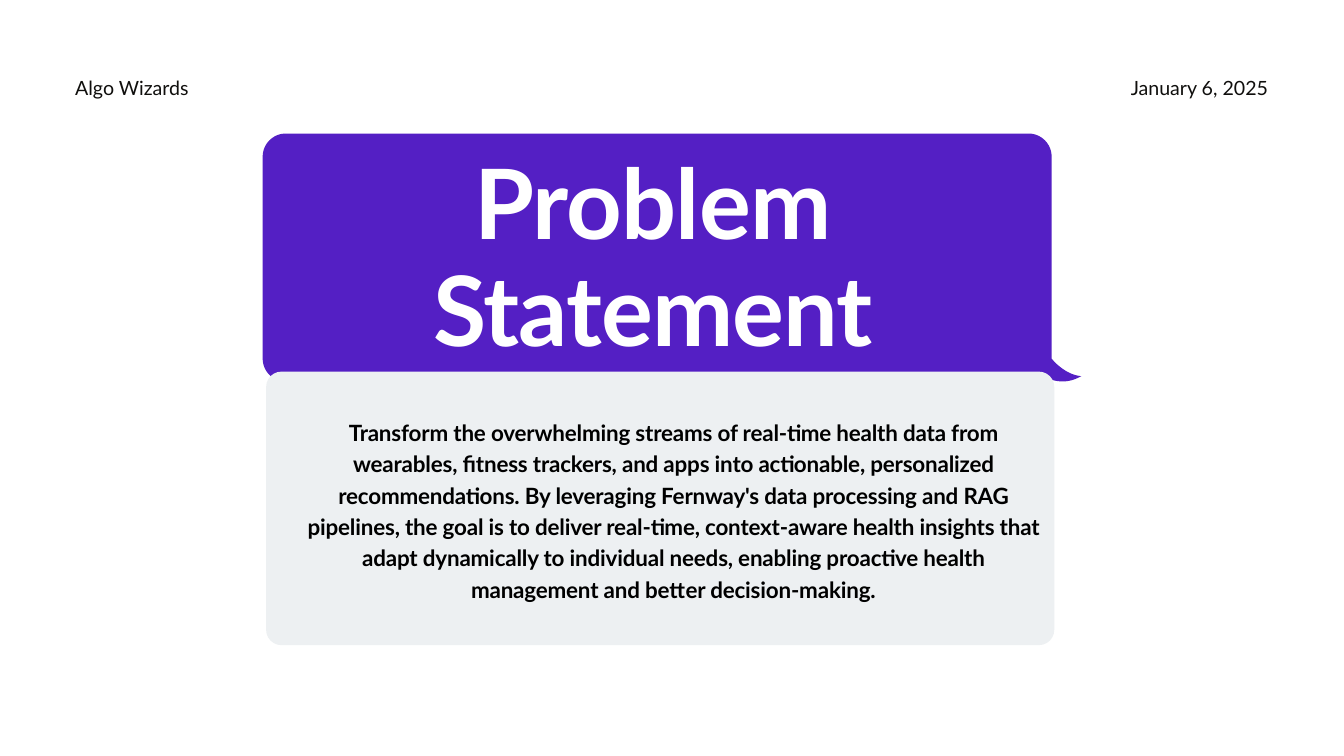
from pptx import Presentation
from pptx.dml.color import RGBColor
from pptx.enum.shapes import MSO_SHAPE as Shape
from pptx.enum.text import MSO_AUTO_SIZE as AutoSize, PP_ALIGN as Align
from pptx.util import Cm, Pt

FONT = "Lato"
COLORS = {
    "background": "FFFFFF",
    "bubble": "541FC4",
    "panel": "EDF0F2",
    "header": "100F0D",
    "title": "FFFFFF",
    "body": "000000",
}
STATEMENT = (
    "Transform the overwhelming streams of real-time health data from wearables, "
    "fitness trackers, and apps into actionable, personalized recommendations. "
    "By leveraging Fernway's data processing and RAG pipelines, the goal is to "
    "deliver real-time, context-aware health insights that adapt dynamically to "
    "individual needs, enabling proactive health management and better "
    "decision-making."
)


def color(name):
    return RGBColor.from_string(COLORS[name])


def paint(shape, fill):
    shape.shadow.inherit = False
    shape.fill.solid()
    shape.fill.fore_color.rgb = color(fill)
    shape.line.fill.background()


def add_text(slide, box, lines, size, leading, fill, align, bold=False, tracking=0):
    """Add one paragraph per line; leading and tracking are in points."""
    text_box = slide.shapes.add_textbox(*(Cm(length) for length in box))
    frame = text_box.text_frame
    frame.margin_left = frame.margin_right = 0
    frame.margin_top = frame.margin_bottom = 0
    frame.word_wrap = True
    frame.auto_size = AutoSize.SHAPE_TO_FIT_TEXT
    frame.text = "\n".join(lines)
    for paragraph in frame.paragraphs:
        paragraph.alignment = align
        paragraph.line_spacing = Pt(leading)
        for run in paragraph.runs:
            run.font.name = FONT
            run.font.size = Pt(size)
            run.font.bold = bold
            run.font.color.rgb = color(fill)
            if tracking:
                run.font._element.set("spc", str(round(tracking * 100)))


def curve(start, control_1, control_2, end, steps=16):
    """Return points along a cubic Bezier curve."""
    points = []
    for step in range(steps + 1):
        t = step / steps
        weights = ((1 - t) ** 3, 3 * t * (1 - t) ** 2, 3 * t * t * (1 - t), t ** 3)
        corners = (start, control_1, control_2, end)
        points.append(tuple(
            sum(weight * corner[axis] for weight, corner in zip(weights, corners))
            for axis in (0, 1)
        ))
    return points


def rounded_corner(start, corner, end):
    return curve(start, *(
        tuple(a + 0.55 * (b - a) for a, b in zip(point, corner))
        for point in (start, end)
    ), end)


def add_speech_bubble(slide, left, top, right, bottom, radius):
    """Draw a rounded bubble with a tail at its lower right corner."""
    tail_start = (right - radius, bottom)
    notch = (right - 0.33, bottom - 0.21)
    tip = (right + 1.12, bottom - 0.21)
    neck = (right, bottom - 0.87)
    outline = [
        *rounded_corner((right, top + radius), (right, top), (right - radius, top)),
        *rounded_corner((left + radius, top), (left, top), (left, top + radius)),
        *rounded_corner((left, bottom - radius), (left, bottom), (left + radius, bottom)),
        *curve(tail_start, (right - 0.66, bottom), (right - 0.46, bottom - 0.08), notch),
        *curve(notch, (right - 0.08, bottom - 0.08), (right + 0.48, bottom + 0.17), tip),
        *curve(tip, tip, (right + 0.56, bottom - 0.21), neck),
    ]
    points = [(Cm(x), Cm(y)) for x, y in outline]
    builder = slide.shapes.build_freeform(*points[0])
    builder.add_line_segments(points[1:], close=True)
    paint(builder.convert_to_shape(), "bubble")


def add_panel(slide, left, top, width, height, radius):
    panel = slide.shapes.add_shape(
        Shape.ROUNDED_RECTANGLE, Cm(left), Cm(top), Cm(width), Cm(height)
    )
    panel.adjustments[0] = radius / min(width, height)
    paint(panel, "panel")


def main():
    presentation = Presentation()
    presentation.slide_width = Cm(50.8)
    presentation.slide_height = Cm(28.58)
    slide = presentation.slides.add_slide(presentation.slide_layouts[6])
    slide.background.fill.solid()
    slide.background.fill.fore_color.rgb = color("background")

    for left, label, align in (
        (37.01, "January 6, 2025", Align.RIGHT),
        (2.84, "Algo Wizards", Align.LEFT),
    ):
        add_text(slide, (left, 2.72, 10.92, 1.02), [label], 21, 29.4, "header", align)

    add_speech_bubble(slide, 9.93, 5.05, 39.75, 14.43, radius=0.87)
    add_text(slide, (10.67, 5.77, 28.02, 8.18), ["Problem", "Statement"],
             104, 114.4, "title", Align.CENTER, bold=True, tracking=-1)

    add_panel(slide, 10.06, 14.05, 29.79, 10.34, radius=0.58)
    add_text(slide, (11.48, 15.67, 27.94, 6.99), [STATEMENT],
             24, 33.6, "body", Align.CENTER, bold=True, tracking=-0.2)

    presentation.save("out.pptx")


if __name__ == "__main__":
    main()
